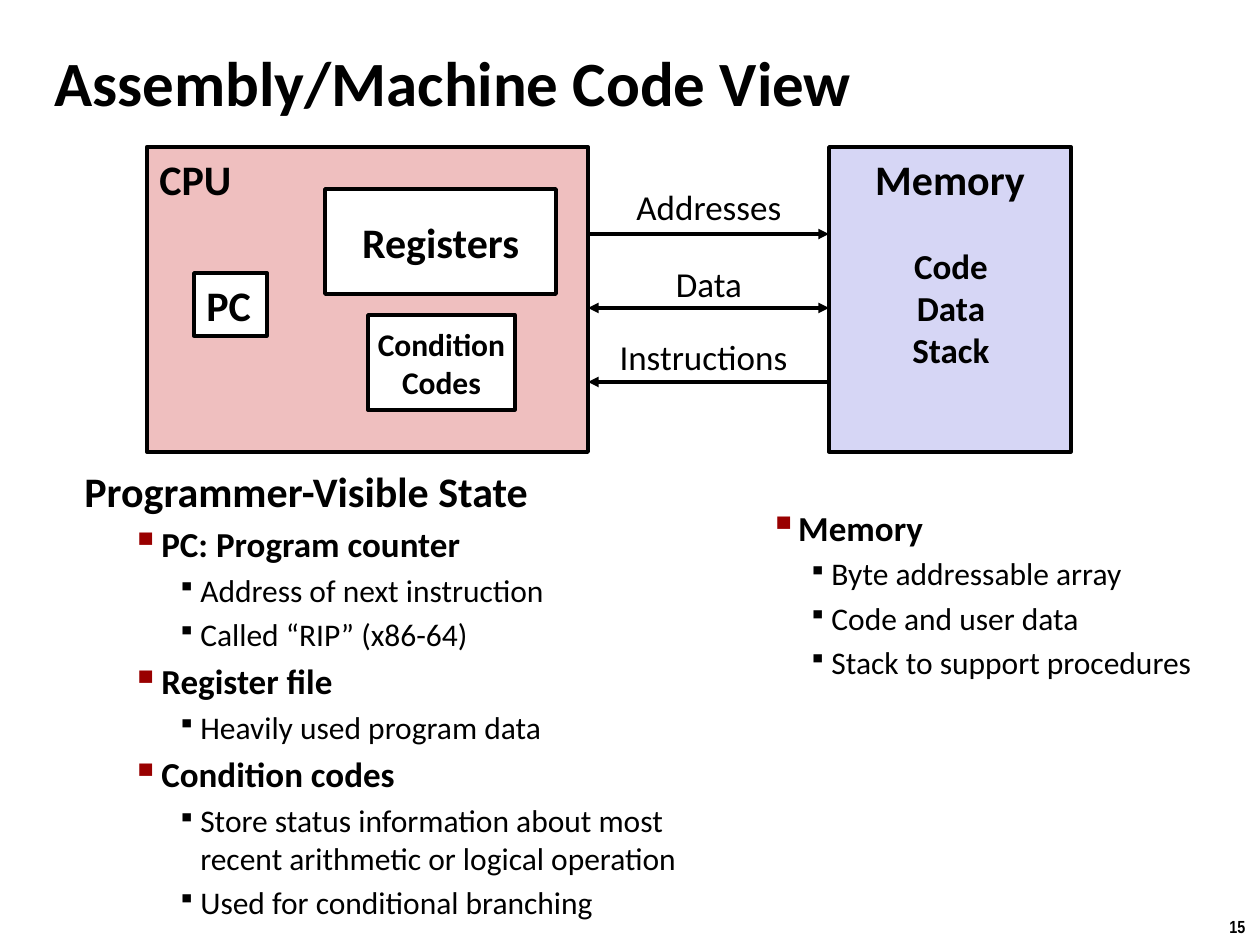
from lxml import etree
from pptx import Presentation
from pptx import util as u
from pptx.dml.color import RGBColor
from pptx.enum import shapes, text
from pptx.oxml.ns import qn

PX = 914400 / 126
COLORS = {
    "ink": "000000",
    "paper": "FFFFFF",
    "cpu": "EFBFBF",
    "memory": "D6D6F5",
    "bullet": "990000",
}
LEFT, CENTER = text.PP_ALIGN.LEFT, text.PP_ALIGN.CENTER
TOP, MIDDLE = text.MSO_ANCHOR.TOP, text.MSO_ANCHOR.MIDDLE

# Heading, item and detail: (text size, bold, bullet colour, bullet size in %)
LEVELS = [(24, True, None, None), (20, True, "bullet", 110), (18, False, "ink", 80)]
STATE = [
    (0, "Programmer-Visible State"),
    (1, "PC: Program counter"),
    (2, "Address of next instruction"),
    (2, "Called “RIP” (x86-64)"),
    (1, "Register file"),
    (2, "Heavily used program data"),
    (1, "Condition codes"),
    (2, "Store status information about most recent arithmetic or logical operation"),
    (2, "Used for conditional branching"),
]
MEMORY = [
    (1, "Memory"),
    (2, "Byte addressable array"),
    (2, "Code and user data"),
    (2, "Stack to support procedures"),
]


def px(n):
    return u.Emu(round(n * PX))


def rgb(name):
    return RGBColor.from_string(COLORS[name])


def add_run(p, words, size, bold, font="Calibri"):
    r = p.add_run()
    r.text = words
    r.font.name, r.font.size, r.font.bold = font, u.Pt(size), bold
    r.font.color.rgb = rgb("ink")


def set_indent(p, margin, hang):
    """Hanging indent: text starts at margin, the first line hang before it."""
    pPr = p._p.get_or_add_pPr()
    pPr.set("marL", str(px(margin)))
    pPr.set("indent", str(-px(hang)))
    return pPr


def write_lines(sp, lines, size, bold=True, align=LEFT, anchor=TOP, wrap=True,
                font="Calibri"):
    tf = sp.text_frame
    tf.word_wrap, tf.vertical_anchor = wrap, anchor
    for i, line in enumerate(lines):
        p = tf.add_paragraph() if i else tf.paragraphs[0]
        p.alignment = align
        add_run(p, line, size, bold, font)


def add_box(slide, at, fill, lines, size=24, line_width=2, **layout):
    sp = slide.shapes.add_shape(shapes.MSO_SHAPE.RECTANGLE, *map(px, at))
    sp.shadow.inherit = False
    sp.fill.solid()
    sp.fill.fore_color.rgb = rgb(fill)
    sp.line.color.rgb = rgb("ink")
    sp.line.width = u.Pt(line_width)
    write_lines(sp, lines, size, **layout)


def add_label(slide, at, lines, size, **layout):
    sp = slide.shapes.add_textbox(*map(px, at))
    write_lines(sp, lines, size, **layout)
    return sp


def add_arrow(slide, x1, x2, y, ends):
    """Horizontal line; ends names the arrowheads, headEnd being at x1."""
    c = slide.shapes.add_connector(
        shapes.MSO_CONNECTOR.STRAIGHT, px(x1), px(y), px(x2), px(y))
    c.line.color.rgb = rgb("ink")
    c.line.width = u.Pt(2)
    ln = c.line._get_or_add_ln()
    for end in ends:
        etree.SubElement(ln, qn(f"a:{end}"), type="triangle")
    etree.SubElement(c._element.spPr, qn("a:effectLst"))


def add_bullet(pPr, color, percent):
    clr = etree.SubElement(pPr, qn("a:buClr"))
    etree.SubElement(clr, qn("a:srgbClr"), val=COLORS[color])
    etree.SubElement(pPr, qn("a:buSzPct"), val=str(percent * 1000))
    etree.SubElement(pPr, qn("a:buChar"), char="▪")


def add_outline(slide, at, items, indents):
    """Bulleted list; indents gives (margin, hang) for each level."""
    sp = slide.shapes.add_textbox(*map(px, at))
    tf = sp.text_frame
    tf.word_wrap = True
    for i, (level, words) in enumerate(items):
        size, bold, color, percent = LEVELS[level]
        p = tf.add_paragraph() if i else tf.paragraphs[0]
        p.level = level
        pPr = set_indent(p, *indents[level])
        before = etree.SubElement(pPr, qn("a:spcBef"))
        etree.SubElement(before, qn("a:spcPct"), val="20000")
        if color:
            add_bullet(pPr, color, percent)
        add_run(p, words, size, bold)
    return sp


def add_cpu(slide):
    add_box(slide, (147, 147, 441, 305), "cpu", ["CPU"], line_width=2.25)
    inner = {"anchor": MIDDLE, "wrap": False}
    add_box(slide, (194, 273, 73, 63), "paper", ["PC"], **inner)
    add_box(slide, (325, 189, 231, 105), "paper", ["Registers"],
            align=CENTER, **inner)
    add_box(slide, (368, 315, 147, 95), "paper", ["Condition", "Codes"], 18,
            align=CENTER, **inner)


def add_memory(slide):
    add_box(slide, (829, 147, 242, 305), "memory", ["Memory"],
            align=CENTER, wrap=False)
    add_label(slide, (872, 238, 158, 140), ["Code", "Data", "Stack"], 20,
              align=CENTER)


def add_buses(slide):
    buses = [
        ("Addresses", 179, 242, 234, ["tailEnd"]),
        ("Data", 256, 242, 308, ["headEnd", "tailEnd"]),
        ("Instructions", 329, 231, 382, ["headEnd"]),
    ]
    for name, top, width, y, ends in buses:
        add_arrow(slide, 588, 829, y, ends)
        add_label(slide, (588, top, width, 54), [name], 20, bold=False,
                  align=CENTER)


def main():
    prs = Presentation()
    prs.slide_width, prs.slide_height = px(1260), px(945)
    slide = prs.slides.add_slide(prs.slide_layouts[6])

    title = add_label(slide, (42, 42, 995, 79), ["Assembly/Machine Code View"],
                      36, anchor=MIDDLE)
    set_indent(title.text_frame.paragraphs[0], 16, 16)
    add_cpu(slide)
    add_memory(slide)
    add_buses(slide)
    state = add_outline(slide, (72, 459, 669, 483), STATE,
                        [(32, 32), (77, 30), (116, 23)])
    state.fill.solid()
    state.fill.fore_color.rgb = rgb("paper")
    add_outline(slide, (741, 500, 499, 217), MEMORY,
                [(0, 0), (40, 24), (78, 23)])
    add_label(slide, (1217, 910, 43, 34), ["15"], 10, wrap=False,
              font="Arial Narrow")
    prs.save("out.pptx")


if __name__ == "__main__":
    main()
